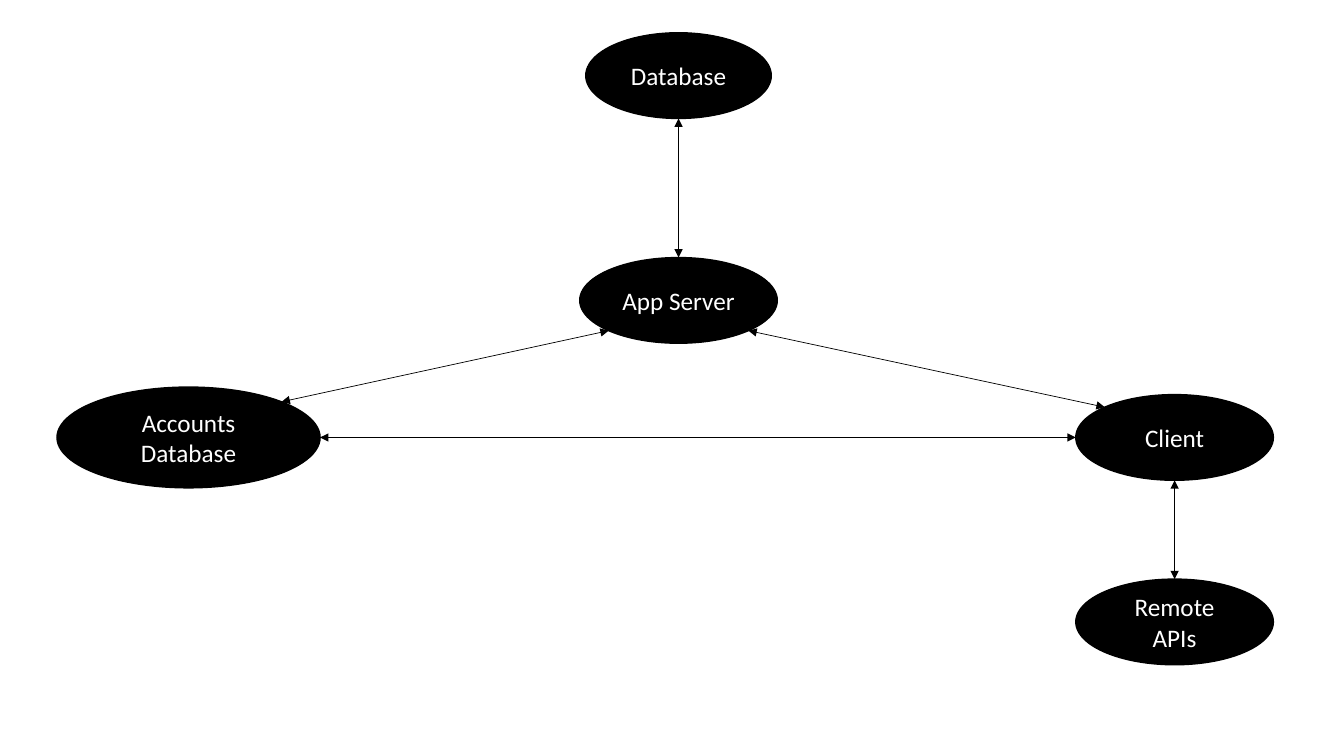
from math import cos, radians, sin

from lxml.etree import SubElement
from pptx import Presentation
from pptx.dml.color import RGBColor
from pptx.enum.shapes import MSO_CONNECTOR, MSO_SHAPE
from pptx.enum.text import MSO_ANCHOR, PP_ALIGN
from pptx.oxml.ns import qn
from pptx.util import Inches, Pt

HUES = {"ink": "000000", "text": "FFFFFF"}
NODES = {
    "App Server": (6.73, 2.98, 1.96, 0.85),
    "Client": (11.65, 4.34, 1.96, 0.85),
    "Accounts Database": (1.87, 4.34, 2.61, 1),
    "Database": (6.73, 0.75, 1.84, 0.85),
    "Remote APIs": (11.65, 6.17, 1.96, 0.85),
}
LINKS = [
    ("Client", 180, "Accounts Database", 0),
    ("App Server", 45, "Client", 225),
    ("Database", 90, "App Server", 270),
    ("Accounts Database", 315, "App Server", 135),
    ("Client", 90, "Remote APIs", 270),
]


def hue(name):
    return RGBColor.from_string(HUES[name])


def write(frame, text, size=18, font="Calibri", color="text", align=PP_ALIGN.CENTER):
    frame.word_wrap = True
    frame.vertical_anchor = MSO_ANCHOR.MIDDLE
    para = frame.paragraphs[0]
    para.alignment = align
    para._p.get_or_add_pPr().set("rtl", "1")
    run = para.add_run()
    run.text = text
    run.font.size = Pt(size)
    run.font.name = font
    run.font.color.rgb = hue(color)


def rim(node, angle):
    x, y, wide, high = NODES[node]
    turn = radians(angle)
    return Inches(x + wide / 2 * cos(turn)), Inches(y + high / 2 * sin(turn))


class Board:
    def __init__(self, slide, edge=1, wire=0.5):
        self.slide = slide
        self.edge = edge
        self.wire = wire

    def stroke(self, line, width):
        line.color.rgb = hue("ink")
        line.width = Pt(width)

    def node(self, text, x, y, wide, high):
        oval = self.slide.shapes.add_shape(
            MSO_SHAPE.OVAL, Inches(x - wide / 2), Inches(y - high / 2),
            Inches(wide), Inches(high))
        oval.shadow.inherit = False
        oval.fill.solid()
        oval.fill.fore_color.rgb = hue("ink")
        self.stroke(oval.line, self.edge)
        write(oval.text_frame, text)

    def link(self, start, out, end, back):
        arrow = self.slide.shapes.add_connector(
            MSO_CONNECTOR.STRAIGHT, *rim(start, out), *rim(end, back))
        self.stroke(arrow.line, self.wire)
        props = arrow._element.spPr
        for tip in ("a:headEnd", "a:tailEnd"):
            SubElement(props.find(qn("a:ln")), qn(tip), type="triangle")
        SubElement(props, qn("a:effectLst"))


def main():
    deck = Presentation()
    deck.slide_width = Inches(13.33)
    deck.slide_height = Inches(7.5)
    board = Board(deck.slides.add_slide(deck.slide_layouts[6]))
    for text, place in NODES.items():
        board.node(text, *place)
    for ends in LINKS:
        board.link(*ends)
    deck.save("out.pptx")


if __name__ == "__main__":
    main()
